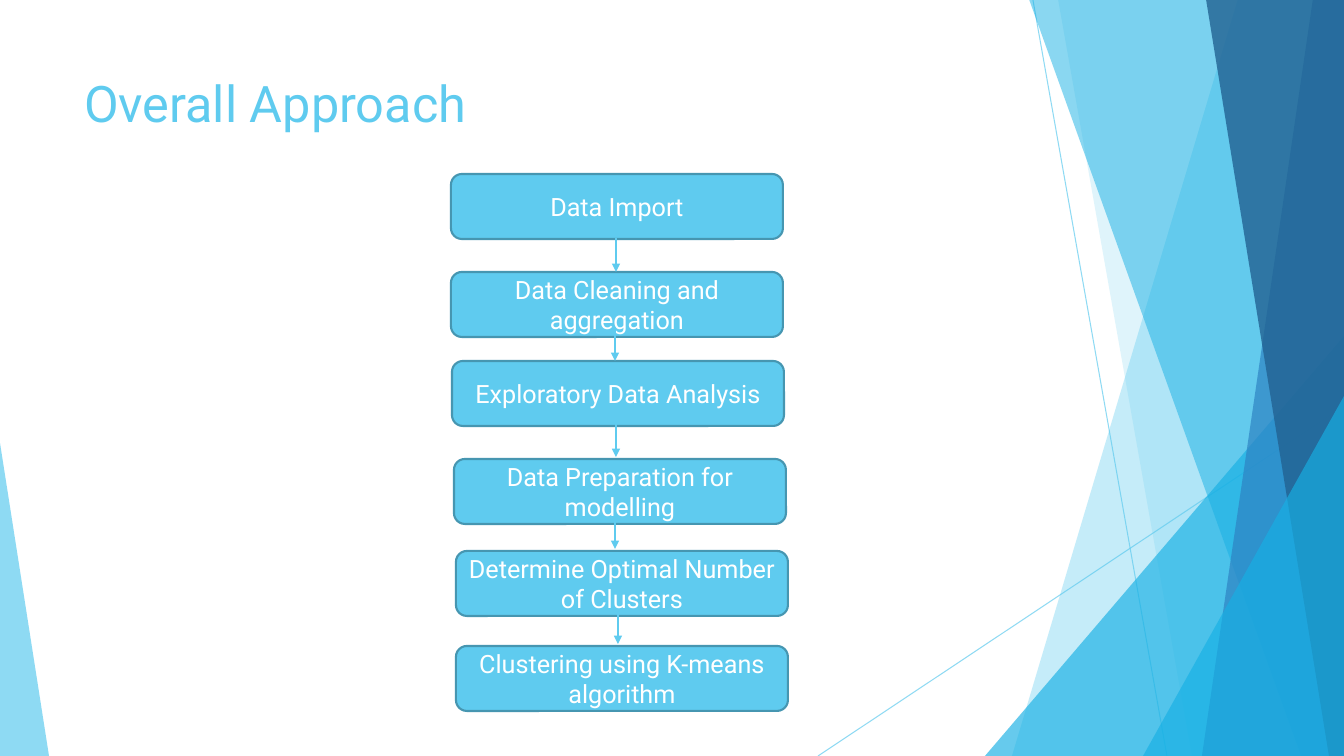
from itertools import pairwise

from lxml import etree
from pptx import Presentation
from pptx.dml.color import RGBColor
from pptx.enum.shapes import MSO_CONNECTOR, MSO_SHAPE
from pptx.enum.text import MSO_ANCHOR, PP_ALIGN
from pptx.oxml.ns import qn
from pptx.util import Pt

STRAIGHT = MSO_CONNECTOR.STRAIGHT
TRIANGLE = MSO_SHAPE.ISOSCELES_TRIANGLE
ROUNDED = MSO_SHAPE.ROUNDED_RECTANGLE
TOP, MIDDLE = MSO_ANCHOR.TOP, MSO_ANCHOR.MIDDLE
LEFT, CENTER = PP_ALIGN.LEFT, PP_ALIGN.CENTER

PX = 914400 / 100.8
WIDTH, HEIGHT = 1344, 756
TITLE_ONLY = 5

THEME = {
    "font": "Roboto", "title_size": 36, "step_size": 18,
    "sky": "5FCBEF", "cyan": "17B0E4", "blue": "2E83C3", "navy": "226292",
    "border": "4696B1", "white": "FFFFFF",
}

TITLE = "Overall Approach"
TITLE_BOX = (74, 67, 948, 145)

# Step text, left, top
STEPS = [
    ("Data Import", 451, 174),
    ("Data Cleaning and aggregation", 451, 272),
    ("Exploratory Data Analysis", 452, 361),
    ("Data Preparation for modelling", 454, 459),
    ("Determine Optimal Number of Clusters", 456, 551),
    ("Clustering using K-means algorithm", 456, 646),
]
STEP_WIDTH, STEP_HEIGHT = 332, 65
# Arrow x and gap left above the next step
ARROWS = [(616, 0), (615, 0), (616, 2), (615, 2), (618, 2)]
ARROW_LENGTH = 34

# Start and end of the thin background lines
RAYS = [((1033, 0), (1167, HEIGHT)), ((WIDTH, 406), (818, HEIGHT))]
# Bands run to the right edge: kind, top x, bottom x, colour, opacity
# Wedges stand on the bottom edge: kind, box, apex, colour, opacity
FACETS = [
    ("band", 1238, 1012, "sky", 36),
    ("band", 1058, 1192, "sky", 20),
    ("wedge", (985, 336, 359, 420), 1, "cyan", 66),
    ("band", 1029, 1301, "cyan", 50),
    ("band", 1313, 1202, "blue", 70),
    ("band", 1206, 1329, "navy", 80),
    ("wedge", (1143, 396, 201, 360), 1, "cyan", 66),
    ("wedge", (0, 443, 49, 313), 0, "sky", 70),
]


def emu(*pixels):
    """Turn pixel lengths into EMU."""
    return [round(length * PX) for length in pixels]


def color(name):
    """Look up a theme colour."""
    return RGBColor.from_string(THEME[name])


def set_opacity(shape, percent):
    """Make every colour of a shape partly transparent."""
    for tint in shape.element.spPr.iter(qn("a:srgbClr")):
        etree.SubElement(tint, qn("a:alpha"), val=str(percent * 1000))


def paint(shape, fill, border=None, width=1.5):
    """Fill a shape, with a border or none, and drop its shadow."""
    shape.shadow.inherit = False
    shape.fill.solid()
    shape.fill.fore_color.rgb = color(fill)
    if border:
        shape.line.color.rgb = color(border)
        shape.line.width = Pt(width)
    else:
        shape.line.fill.background()


def write(shape, text, *, size, tint, align, anchor):
    """Put formatted text into a shape."""
    frame = shape.text_frame
    frame.word_wrap = True
    frame.vertical_anchor = anchor
    paragraph = frame.paragraphs[0]
    paragraph.alignment = align
    run = paragraph.add_run()
    run.text = text
    run.font.name = THEME["font"]
    run.font.size = Pt(THEME[size])
    run.font.color.rgb = color(tint)


def add_line(slide, start, end, width, arrow=False):
    """Draw a straight sky line, with an arrowhead at its end if wanted."""
    line = slide.shapes.add_connector(STRAIGHT, *emu(*start, *end))
    line.line.color.rgb = color("sky")
    line.line.width = Pt(width)
    if arrow:
        etree.SubElement(line.line._get_or_add_ln(), qn("a:tailEnd"), type="triangle")
    etree.SubElement(line.element.spPr, qn("a:effectLst"))
    return line


def add_band(slide, top_x, bottom_x):
    """Draw a full-height band that ends at the right edge."""
    builder = slide.shapes.build_freeform(top_x, -1, scale=PX)
    builder.add_line_segments([(WIDTH, -1), (WIDTH, HEIGHT), (bottom_x, HEIGHT)])
    return builder.convert_to_shape()


def add_wedge(slide, box, apex):
    """Draw a right-angled triangle with its apex at the left or right."""
    wedge = slide.shapes.add_shape(TRIANGLE, *emu(*box))
    wedge.adjustments[0] = apex
    return wedge


def add_backdrop(slide):
    """Draw the thin lines and the translucent facets."""
    for start, end in RAYS:
        set_opacity(add_line(slide, start, end, 0.75), 70)
    makers = {"band": add_band, "wedge": add_wedge}
    for kind, first, second, fill, opacity in FACETS:
        facet = makers[kind](slide, first, second)
        paint(facet, fill)
        set_opacity(facet, opacity)


def add_title(slide):
    """Place the title in front of the backdrop."""
    title = slide.shapes.title
    title.element.getparent().append(title.element)
    title.left, title.top, title.width, title.height = emu(*TITLE_BOX)
    write(title, TITLE, size="title_size", tint="sky", align=LEFT, anchor=TOP)


def add_flow(slide):
    """Draw the steps and the arrows between them."""
    for text, left, top in STEPS:
        step = slide.shapes.add_shape(ROUNDED, *emu(left, top, STEP_WIDTH, STEP_HEIGHT))
        paint(step, "sky", "border")
        write(step, text, size="step_size", tint="white", align=CENTER, anchor=MIDDLE)
    for (_, following), (x, gap) in zip(pairwise(STEPS), ARROWS):
        tip = following[2] - gap
        add_line(slide, (x, tip - ARROW_LENGTH), (x, tip), 1, arrow=True)


def main():
    """Build and save the slide."""
    deck = Presentation()
    deck.slide_width, deck.slide_height = emu(WIDTH, HEIGHT)
    slide = deck.slides.add_slide(deck.slide_layouts[TITLE_ONLY])
    slide.background.fill.solid()
    slide.background.fill.fore_color.rgb = color("white")
    add_backdrop(slide)
    add_title(slide)
    add_flow(slide)
    deck.save("out.pptx")


main()
